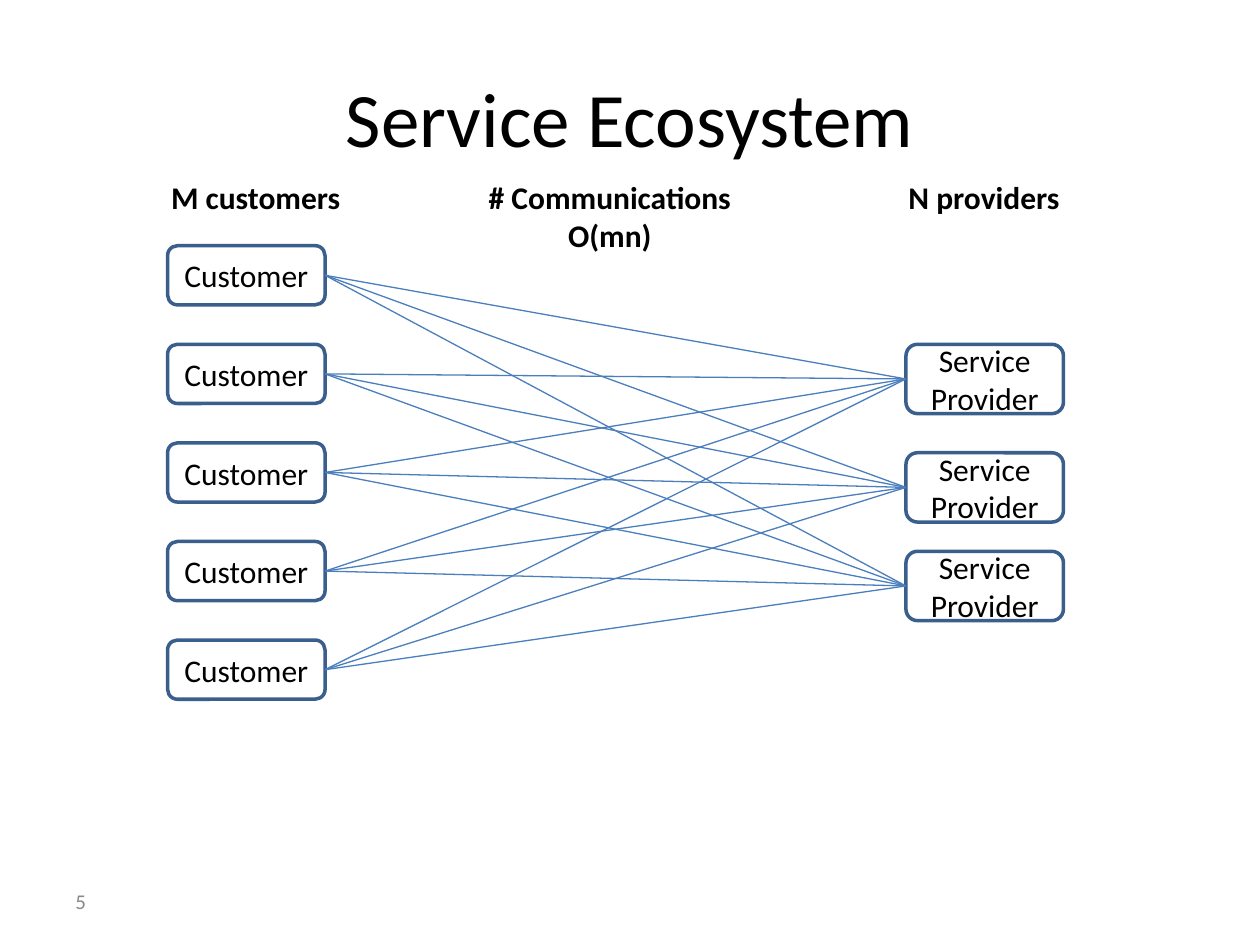
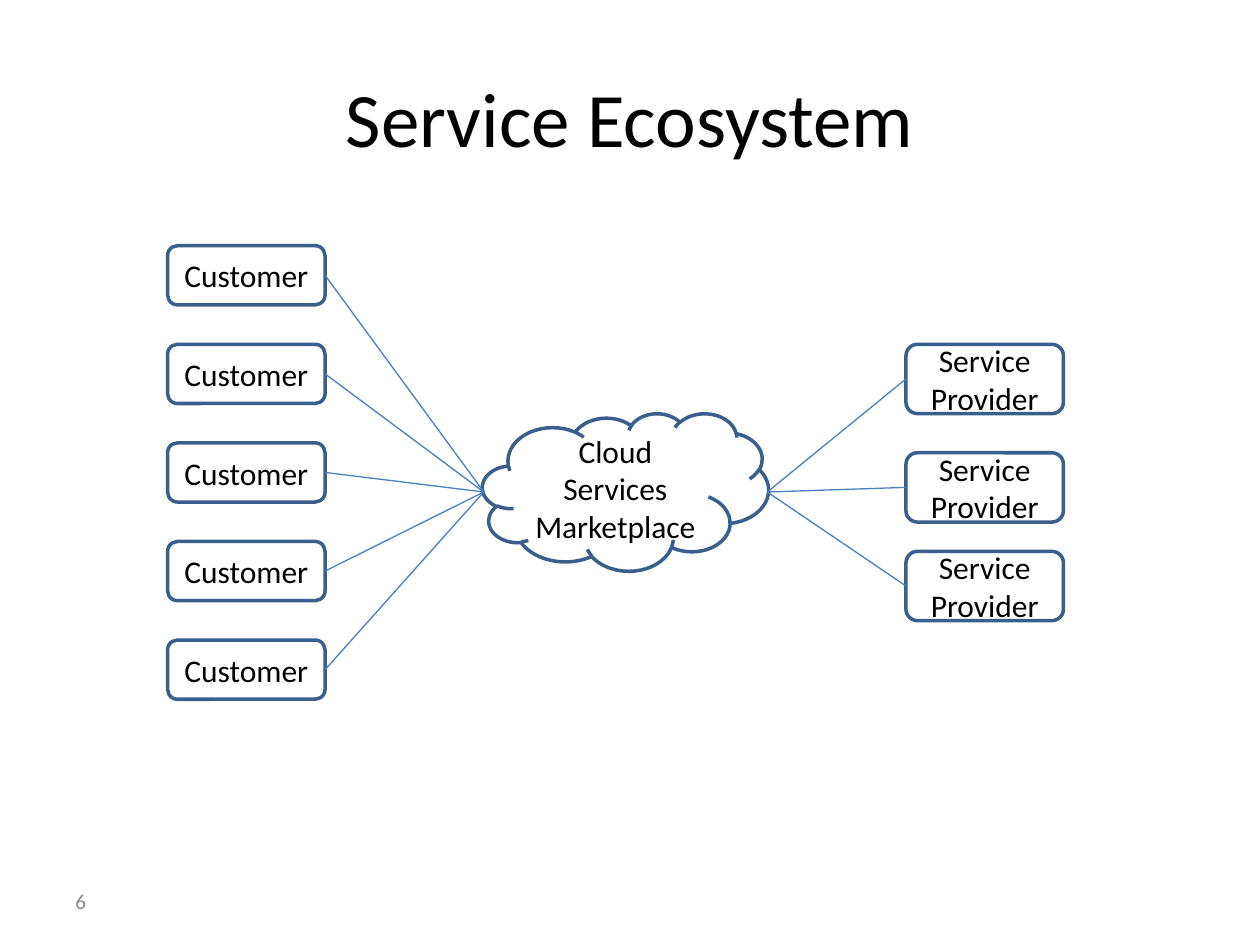
from itertools import product
from pptx import Presentation
from pptx.dml.color import RGBColor
from pptx.enum.shapes import MSO_CONNECTOR, MSO_SHAPE
from pptx.enum.text import MSO_ANCHOR, PP_ALIGN
from pptx.oxml.xmlchemy import OxmlElement
from pptx.util import Inches, Pt

BLACK = RGBColor(0x00, 0x00, 0x00)
GREY = RGBColor(0x89, 0x89, 0x89)
EDGE = RGBColor(0x3A, 0x5F, 0x8C)
LINK = RGBColor(0x4B, 0x7E, 0xBC)

# Grid: a column of customers, a column of providers, shared row pitch
LEFT, RIGHT, WIDE = 1.33, 7.19, 1.25
TOP, PITCH = 1.95, 0.7825
BUYER, SELLER = 0.47, 0.55
CLOUD = (3.83, 3.28, 2.27, 1.25)
buyers = [TOP + PITCH * row for row in range(5)]
sellers = [TOP + PITCH * row for row in (1, 2.1, 3.1)]
starts = [(LEFT + WIDE, top + BUYER / 2) for top in buyers]
ends = [(RIGHT, top + SELLER / 2) for top in sellers]
hub = CLOUD[1] + CLOUD[3] / 2


def write(shape, text, size=18, color=BLACK, bold=False, align=PP_ALIGN.CENTER):
    frame = shape.text_frame
    frame.word_wrap = True
    frame.vertical_anchor = MSO_ANCHOR.MIDDLE
    par = frame.paragraphs[0]
    par.alignment = align
    run = par.add_run()
    run.text = text
    run.font.name = "Calibri"
    run.font.size = Pt(size)
    run.font.bold = bold
    run.font.color.rgb = color


deck = Presentation()
deck.slide_width, deck.slide_height = Inches(10), Inches(7.5)

boxes = [(MSO_SHAPE.ROUNDED_RECTANGLE, (LEFT, top, WIDE, BUYER), "Customer")
         for top in buyers]
boxes += [(MSO_SHAPE.ROUNDED_RECTANGLE, (RIGHT, top, WIDE, SELLER), "Service Provider")
          for top in sellers]
cloud = (MSO_SHAPE.CLOUD, CLOUD, "Cloud Services Marketplace")

# Direct links join everyone; through the cloud each party needs one
direct = list(product(starts, ends))
shared = [(start, (CLOUD[0] + 0.01, hub)) for start in starts]
shared += [((CLOUD[0] + CLOUD[2] - 0.01, hub), end) for end in ends]
heads = [("M customers", 0.86, 1.33), ("# Communications O(mn)", 3.67, 1.48),
         ("N providers", 6.64, 1.33)]

pages = [("5", boxes, direct, heads), ("6", boxes + [cloud], shared, [])]
for number, nodes, links, labels in pages:
    slide = deck.slides.add_slide(deck.slide_layouts[5])

    # Title and page number
    title = slide.shapes.title
    title.left, title.top, title.width, title.height = map(Inches, (0.5, 0.3, 9, 1.25))
    write(title, "Service Ecosystem", size=44)
    foot = slide.shapes.add_textbox(*map(Inches, (0.5, 6.95, 2.33, 0.4)))
    write(foot, number, size=12, color=GREY, align=PP_ALIGN.LEFT)

    # Parties
    for kind, place, text in nodes:
        node = slide.shapes.add_shape(kind, *map(Inches, place))
        node.shadow.inherit = False
        node.fill.background()
        node.line.color.rgb = EDGE
        node.line.width = Pt(2)
        write(node, text)

    # Links
    for start, end in links:
        link = slide.shapes.add_connector(MSO_CONNECTOR.STRAIGHT,
                                          *map(Inches, start + end))
        link.line.color.rgb = LINK
        link.line.width = Pt(0.75)
        link._element.spPr.append(OxmlElement("a:effectLst"))

    # Column headings
    for text, left, top in labels:
        head = slide.shapes.add_textbox(*map(Inches, (left, top, 2.34, 0.47)))
        write(head, text, bold=True)

deck.save("out.pptx")
